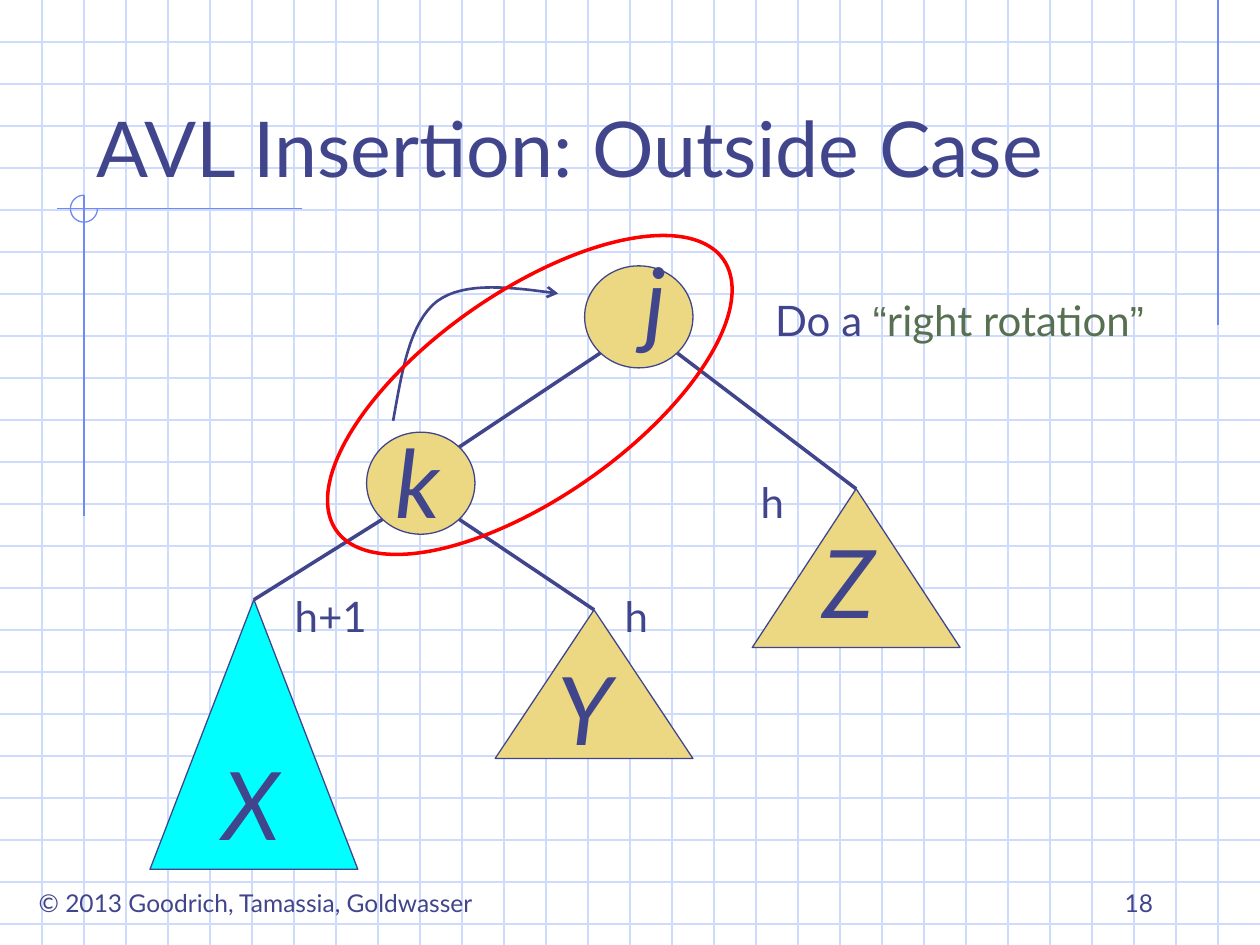
from math import cos, pi, sin, sqrt

from lxml.etree import SubElement
from pptx import Presentation
from pptx.dml.color import RGBColor
from pptx.enum.shapes import MSO_CONNECTOR, MSO_SHAPE
from pptx.enum.text import MSO_ANCHOR, PP_ALIGN
from pptx.oxml.ns import qn
from pptx.util import Inches, Pt

INK = RGBColor(0x40, 0x45, 0x8C)
GRID = RGBColor(0xCF, 0xDB, 0xFD)
ACCENT = RGBColor(0x6F, 0x89, 0xF7)
SAND = RGBColor(0xEC, 0xD8, 0x82)
CYAN = RGBColor(0x00, 0xFF, 0xFF)
RED = RGBColor(0xFF, 0x00, 0x00)
GREEN = RGBColor(0x57, 0x70, 0x52)

ROWS = 22.5
COLUMNS = 30
NODE_SIZE = (2.58, 2.43)
LETTER_SIZE = (1.59, 3)


def cells(count):
    return round(Inches(count) / 3)


def set_line(shape, color, width):
    shape.line.color.rgb = color
    shape.line.width = Pt(width)


def add_line(page, start, end, color, width=0.75):
    line = page.shapes.add_connector(
        MSO_CONNECTOR.STRAIGHT, *map(cells, (*start, *end)))
    set_line(line, color, width)
    SubElement(line._element.spPr, qn("a:effectLst"))
    return line


def add_shape(page, kind, place, fill, color=INK, width=0.75):
    shape = page.shapes.add_shape(kind, *map(cells, place))
    shape.shadow.inherit = False
    if fill is None:
        shape.fill.background()
    else:
        shape.fill.solid()
        shape.fill.fore_color.rgb = fill
    set_line(shape, color, width)
    return shape


def add_outline(page, points, color, width):
    corners = [(cells(x), cells(y)) for x, y in points]
    builder = page.shapes.build_freeform(*corners[0])
    builder.add_line_segments(corners[1:], close=False)
    outline = builder.convert_to_shape()
    outline.shadow.inherit = False
    outline.fill.background()
    set_line(outline, color, width)
    return outline


def add_text(page, spans, place, size, align=PP_ALIGN.CENTER,
             anchor=MSO_ANCHOR.TOP, italic=False):
    box = page.shapes.add_textbox(*map(cells, place))
    frame = box.text_frame
    frame.word_wrap = True
    frame.vertical_anchor = anchor
    if align == PP_ALIGN.CENTER:
        frame.margin_left = frame.margin_right = 0
    para = frame.paragraphs[0]
    para.alignment = align
    for text, font, color in spans:
        span = para.add_run()
        span.text = text
        span.font.name = font
        span.font.size = Pt(size)
        span.font.italic = italic
        span.font.color.rgb = color


def add_label(page, text, place, size, **options):
    add_text(page, [(text, "Lato", INK)], place, size, **options)


def add_backdrop(page):
    for row in range(1, int(ROWS) + 1):
        add_line(page, (0, row), (COLUMNS, row), GRID)
    for column in range(1, COLUMNS):
        add_line(page, (column, 0), (column, ROWS), GRID)
    add_line(page, (29, 0), (29, 7.74), ACCENT)
    add_line(page, (7.2, 4.97), (1.35, 4.97), ACCENT)
    add_line(page, (2, 4.64), (2, 12.28), ACCENT)
    angles = [pi / 2 * (1 + step / 12) for step in range(37)]
    arc = [(2 + 0.32 * cos(angle), 4.97 - 0.32 * sin(angle)) for angle in angles]
    add_outline(page, arc, ACCENT, 0.75)


def add_letter(page, letter, corner):
    add_label(page, letter, (*corner, *LETTER_SIZE), 54, italic=True)


def add_node(page, letter, corner, letter_corner):
    add_shape(page, MSO_SHAPE.OVAL, (*corner, *NODE_SIZE), SAND)
    add_letter(page, letter, letter_corner)


def add_subtree(page, letter, place, letter_corner, fill=SAND):
    triangle = add_shape(page, MSO_SHAPE.ISOSCELES_TRIANGLE, place, fill)
    add_letter(page, letter, letter_corner)
    return triangle


def node_rim(corner, across, down):
    return tuple(start + size / 2 * (1 + side / sqrt(2))
                 for start, size, side in zip(corner, NODE_SIZE, (across, down)))


def add_subtree_edge(page, corner, across, triangle):
    start = node_rim(corner, across, 1)
    edge = add_line(page, start, start, INK, 2)
    edge.end_connect(triangle, 0)


def bezier(start, first, second, end, steps=16):
    for step in range(steps + 1):
        t = step / steps
        weights = ((1 - t) ** 3, 3 * t * (1 - t) ** 2, 3 * t * t * (1 - t), t ** 3)
        yield tuple(sum(weight * value for weight, value in zip(weights, axis))
                    for axis in zip(start, first, second, end))


def add_rotation_arrow(page):
    bend = (10.41, 7.17)
    rise = list(bezier((9.36, 10.02), (9.57, 8.85), (9.75, 7.68), bend))
    turn = list(bezier(bend, (11.07, 6.69), (12.18, 6.84), (13.29, 6.99)))
    arrow = add_outline(page, rise + turn[1:], INK, 1.5)
    SubElement(arrow.line._get_or_add_ln(), qn("a:tailEnd"), type="arrow")


def add_tree(page):
    j_corner, k_corner = (13.92, 6.33), (8.73, 10.29)
    add_node(page, "j", j_corner, (14.82, 5.61))
    add_node(page, "k", k_corner, (9.15, 9.96))
    add_line(page, node_rim(j_corner, -1, 1), node_rim(k_corner, 1, -1), INK, 2)
    x_tree = add_subtree(page, "X", (3.57, 14.28, 4.95, 6.42), (5.19, 17.61), CYAN)
    y_tree = add_subtree(page, "Y", (11.79, 14.52, 4.71, 3.54), (13.14, 15.36))
    z_tree = add_subtree(page, "Z", (17.91, 11.64, 4.95, 3.78), (19.41, 12.33))
    add_subtree_edge(page, k_corner, -1, x_tree)
    add_subtree_edge(page, k_corner, 1, y_tree)
    add_subtree_edge(page, j_corner, 1, z_tree)
    add_label(page, "h", (17.79, 11.19, 1.2, 1.5), 24)
    add_label(page, "h+1", (6.69, 13.92, 2.37, 1.5), 24)
    add_label(page, "h", (14.55, 13.92, 1.2, 1.5), 24)


def main():
    deck = Presentation()
    deck.slide_width, deck.slide_height = cells(COLUMNS), cells(ROWS)
    page = deck.slides.add_slide(deck.slide_layouts[6])
    add_backdrop(page)
    add_label(page, "© 2013 Goodrich, Tamassia, Goldwasser", (0.27, 21, 11.64, 1.02), 14)
    add_label(page, "18", (21.51, 20.49, 6.24, 1.5), 14,
              align=PP_ALIGN.RIGHT, anchor=MSO_ANCHOR.BOTTOM)
    add_label(page, "AVL Insertion: Outside Case", (2, 1, 25.5, 3.75), 44,
              align=PP_ALIGN.LEFT, anchor=MSO_ANCHOR.BOTTOM)
    add_tree(page)
    add_text(page, [("Do a ", "Lato", INK), ("“", "Arial", GREEN),
                    ("right rotation", "Lato", GREEN), ("”", "Arial", GREEN)],
             (17.85, 6.87, 9.99, 1.5), 24)
    add_rotation_arrow(page)
    focus = add_shape(page, MSO_SHAPE.OVAL, (6.99, 6.96, 11.25, 4.89), None, RED, 2)
    focus.rotation = 325
    deck.save("out.pptx")


if __name__ == "__main__":
    main()
